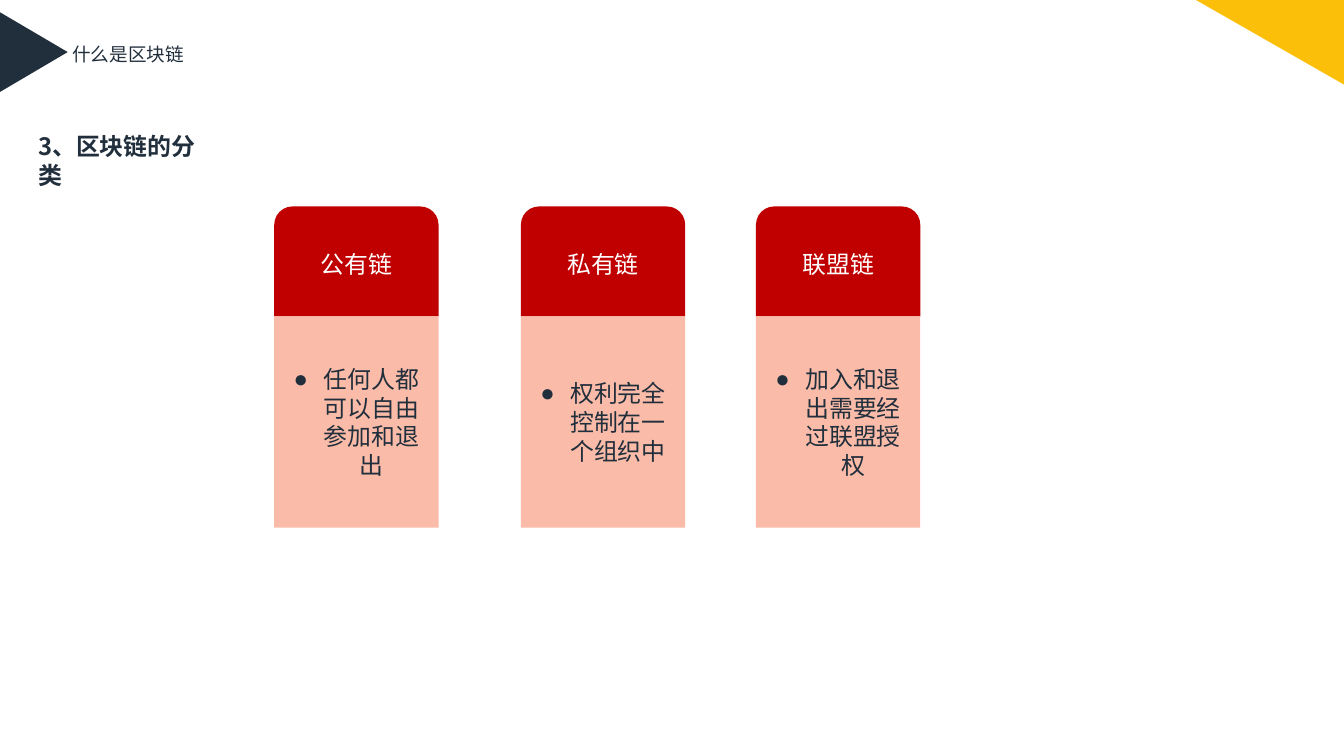
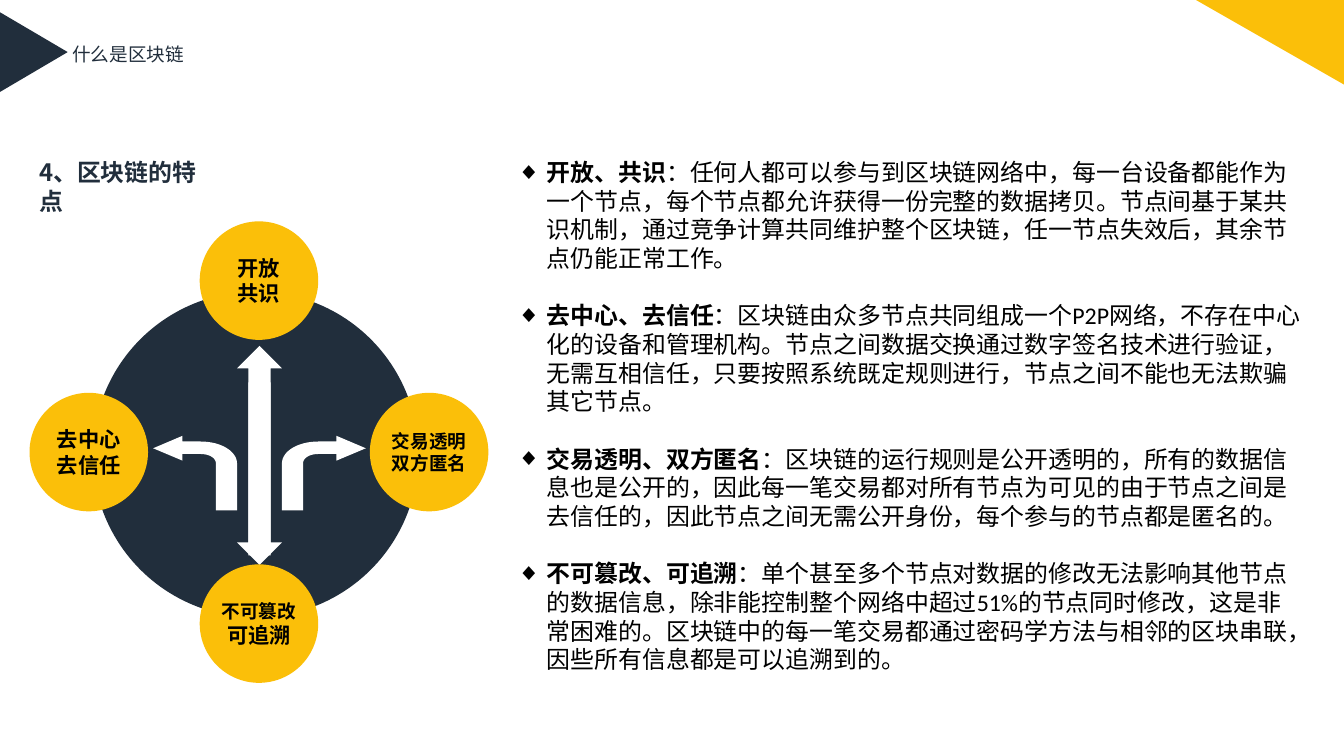
from dataclasses import dataclass

import lxml.etree
import pptx
import pptx.dml.color
import pptx.enum.shapes
import pptx.enum.text
import pptx.oxml.ns
import pptx.shapes.autoshape
import pptx.slide
import pptx.text.text
import pptx.util

Pt = pptx.util.Pt
SHAPE = pptx.enum.shapes.MSO_SHAPE
ALIGN = pptx.enum.text.PP_ALIGN

SLIDE_WIDTH, SLIDE_HEIGHT = 1012.5, 569.5
NAVY, YELLOW, RED, PINK = "212E3C", "FBBF09", "C00000", "FABCA8"
WHITE, BLACK = "FFFFFF", "000000"
INDENT = 22.5
BLANK_LINE = 21.6

Point = tuple[float, float]


@dataclass(frozen=True)
class Box:
    left: float
    top: float
    width: float
    height: float

    def lengths(self) -> list[int]:
        return [Pt(value) for value in (self.left, self.top, self.width, self.height)]


@dataclass(frozen=True)
class TextStyle:
    size: float
    color: str
    name: str = "Arial"
    bold: bool | None = None


@dataclass(frozen=True)
class ChainCard:
    left: float
    title: str
    description: str


@dataclass(frozen=True)
class Node:
    column: int
    row: int
    lines: tuple[tuple[str, float], ...]


@dataclass(frozen=True)
class Feature:
    name: str
    description: str


CARDS = [
    ChainCard(206.6, "公有链", "任何人都可以自由参加和退出"),
    ChainCard(392.4, "私有链", "权利完全控制在一个组织中"),
    ChainCard(569.5, "联盟链", "加入和退出需要经过联盟授权"),
]

# Columns and rows count steps from the centre of the wheel
NODES = [
    Node(-1, 0, (("去中心", 16), ("去信任", 16))),
    Node(1, 0, (("交易透明", 14), ("双方匿名", 14))),
    Node(0, -1, (("开放", 16), ("共识", 16))),
    Node(0, 1, (("不可篡改", 14), ("可追溯", 16))),
]

FEATURES = [
    Feature("开放、共识", "：任何人都可以参与到区块链网络中，每一台设备都能作为一个节点，"
            "每个节点都允许获得一份完整的数据拷贝。节点间基于某共识机制，"
            "通过竞争计算共同维护整个区块链，任一节点失效后，其余节点仍能正常工作。"),
    Feature("去中心、去信任", "：区块链由众多节点共同组成一个P2P网络，不存在中心化的设备和管理机构。"
            "节点之间数据交换通过数字签名技术进行验证，无需互相信任，"
            "只要按照系统既定规则进行，节点之间不能也无法欺骗其它节点。"),
    Feature("交易透明、双方匿名", "：区块链的运行规则是公开透明的，所有的数据信息也是公开的，"
            "因此每一笔交易都对所有节点为可见的由于节点之间是去信任的，"
            "因此节点之间无需公开身份，每个参与的节点都是匿名的。"),
    Feature("不可篡改、可追溯", "：单个甚至多个节点对数据的修改无法影响其他节点的数据信息，"
            "除非能控制整个网络中超过51%的节点同时修改，这是非常困难的。"
            "区块链中的每一笔交易都通过密码学方法与相邻的区块串联，"
            "因些所有信息都是可以追溯到的。"),
]


# Shared helpers
def color(value: str) -> pptx.dml.color.RGBColor:
    return pptx.dml.color.RGBColor.from_string(value)


def paint(shape: pptx.shapes.autoshape.Shape, fill: str) -> None:
    shape.shadow.inherit = False
    shape.fill.solid()
    shape.fill.fore_color.rgb = color(fill)
    shape.line.fill.background()


def add_shape(slide: pptx.slide.Slide, kind: SHAPE, box: Box, fill: str,
              rotation: float = 0) -> pptx.shapes.autoshape.Shape:
    shape = slide.shapes.add_shape(kind, *box.lengths())
    shape.rotation = rotation
    paint(shape, fill)
    return shape


def add_text_box(slide: pptx.slide.Slide, box: Box) -> pptx.text.text.TextFrame:
    frame = slide.shapes.add_textbox(*box.lengths()).text_frame
    frame.word_wrap = True
    return frame


def style(paragraph: pptx.text.text._Paragraph, text_style: TextStyle) -> None:
    font = paragraph.font
    font.name = text_style.name
    font.size = Pt(text_style.size)
    font.bold = text_style.bold
    font.color.rgb = color(text_style.color)


def add_bullet(paragraph: pptx.text.text._Paragraph, symbol: str) -> None:
    properties = paragraph._p.get_or_add_pPr()
    properties.set("marL", str(Pt(INDENT)))
    properties.set("indent", str(-Pt(INDENT)))
    qualified = pptx.oxml.ns.qn
    lxml.etree.SubElement(properties, qualified("a:buFont"), typeface="Arial")
    lxml.etree.SubElement(properties, qualified("a:buChar"), char=symbol)


def next_paragraph(frame: pptx.text.text.TextFrame, index: int) -> pptx.text.text._Paragraph:
    return frame.add_paragraph() if index else frame.paragraphs[0]


def add_page(presentation, heading: str, heading_left: float,
             heading_top: float) -> pptx.slide.Slide:
    slide = presentation.slides.add_slide(presentation.slide_layouts[6])
    # Corner decorations
    add_shape(slide, SHAPE.ISOSCELES_TRIANGLE, Box(-4.5, 13.75, 60, 51), NAVY, 90)
    add_shape(slide, SHAPE.RIGHT_TRIANGLE, Box(901, 0, SLIDE_WIDTH - 901, 63.7), YELLOW, 180)
    # Chapter and heading
    labels = [
        ("什么是区块链", Box(47.3, 28.8, 110, 24.5), TextStyle(14, NAVY, "Calibri")),
        (heading, Box(heading_left, heading_top, 150.5, 29),
         TextStyle(18, NAVY, "Noto Sans CJK SC", True)),
    ]
    for text, box, text_style in labels:
        paragraph = add_text_box(slide, box).paragraphs[0]
        paragraph.text = text
        style(paragraph, text_style)
    return slide


# Slide with the three kinds of chain
def add_card(slide: pptx.slide.Slide, card: ChainCard) -> None:
    width, top, title_height, body_height = 123.8, 155.5, 82.8, 159.1
    parts = [
        (SHAPE.ROUND_2_SAME_RECTANGLE, Box(card.left, top, width, title_height),
         RED, WHITE, card.title, ""),
        (SHAPE.RECTANGLE, Box(card.left, top + title_height, width, body_height),
         PINK, NAVY, card.description, "●"),
    ]
    for kind, box, fill, text_color, text, symbol in parts:
        paragraph = add_shape(slide, kind, box, fill).text_frame.paragraphs[0]
        paragraph.text = text
        paragraph.alignment = ALIGN.CENTER
        if symbol:
            add_bullet(paragraph, symbol)
        style(paragraph, TextStyle(18, text_color))


def build_kinds(presentation) -> None:
    slide = add_page(presentation, "3、区块链的分类", 21.6, 95.8)
    for card in CARDS:
        add_card(slide, card)


# Slide with the wheel of features
def curve(start: Point, first: Point, second: Point, end: Point, steps: int = 16) -> list[Point]:
    def at(axis: int, t: float) -> float:
        return ((1 - t) ** 3 * start[axis] + 3 * (1 - t) ** 2 * t * first[axis]
                + 3 * (1 - t) * t ** 2 * second[axis] + t ** 3 * end[axis])

    return [(at(0, step / steps), at(1, step / steps)) for step in range(steps + 1)]


def add_bent_arrow(slide: pptx.slide.Slide, axis: float, direction: int) -> None:
    outline = [
        (16.9, 384.5),
        *curve((16.9, 349.2), (16.9, 339.8), (29.2, 332.6), (44.3, 332.6)),
        (58, 332.6), (58, 328.3), (80.1, 337.7), (58, 347), (58, 342),
        *curve((44.3, 342), (37.8, 342), (32.8, 345), (32.8, 349.2)),
        (32.8, 384.5),
    ]
    points = [(Pt(axis + direction * x), Pt(y)) for x, y in outline]
    builder = slide.shapes.build_freeform(*points[0])
    builder.add_line_segments(points[1:], close=True)
    paint(builder.convert_to_shape(), WHITE)


def add_node(slide: pptx.slide.Slide, node: Node) -> None:
    diameter = 89.3
    center_x, center_y = 195.1 + node.column * 128.2, 340.6 + node.row * 129.2
    box = Box(center_x - diameter / 2, center_y - diameter / 2, diameter, diameter)
    frame = add_shape(slide, SHAPE.OVAL, box, YELLOW).text_frame
    frame.margin_left = frame.margin_right = frame.margin_top = frame.margin_bottom = 0
    for index, (text, size) in enumerate(node.lines):
        paragraph = next_paragraph(frame, index)
        paragraph.text = text
        paragraph.alignment = ALIGN.CENTER
        style(paragraph, TextStyle(size, BLACK, bold=True))


def build_features(presentation) -> None:
    slide = add_page(presentation, "4、区块链的特点", 22.3, 115.2)

    # Wheel, arrows and nodes
    add_shape(slide, SHAPE.OVAL, Box(69.8, 219.6, 245.5, 245.5), NAVY)
    add_shape(slide, SHAPE.UP_ARROW, Box(178.6, 260.6, 33.8, 157.7), WHITE)
    add_shape(slide, SHAPE.DOWN_ARROW, Box(178.6, 288, 33.8, 137.5), WHITE)
    for direction in (1, -1):
        add_bent_arrow(slide, 195.5, direction)
    for node in NODES:
        add_node(slide, node)

    # Explanations
    frame = add_text_box(slide, Box(382.3, 115.2, 604.8, 400))
    for index, feature in enumerate(FEATURES):
        paragraph = next_paragraph(frame, index)
        if index:
            paragraph.space_before = Pt(BLANK_LINE)
        add_bullet(paragraph, "◆")
        style(paragraph, TextStyle(18, BLACK, "Calibri"))
        name = paragraph.add_run()
        name.text = feature.name
        name.font.bold = True
        paragraph.add_run().text = feature.description


def main() -> None:
    presentation = pptx.Presentation()
    presentation.slide_width = Pt(SLIDE_WIDTH)
    presentation.slide_height = Pt(SLIDE_HEIGHT)
    build_kinds(presentation)
    build_features(presentation)
    presentation.save("out.pptx")


if __name__ == "__main__":
    main()
